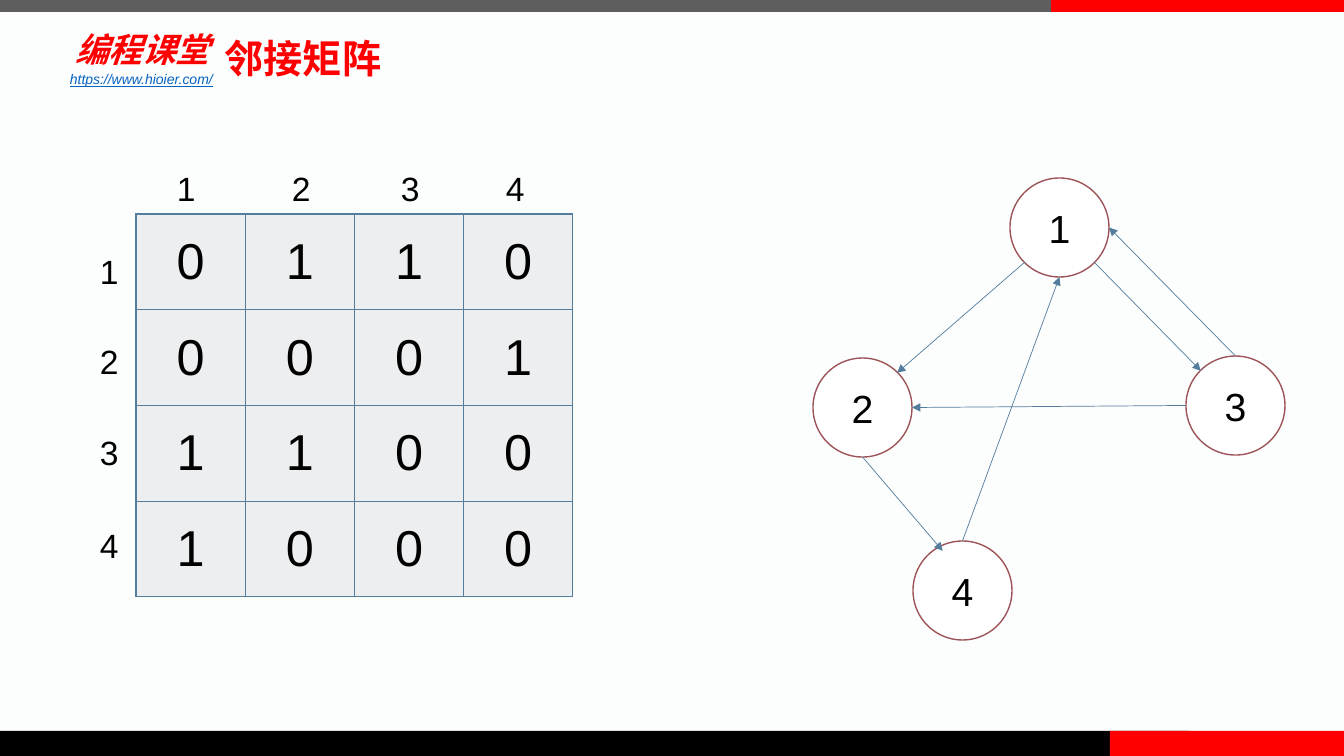
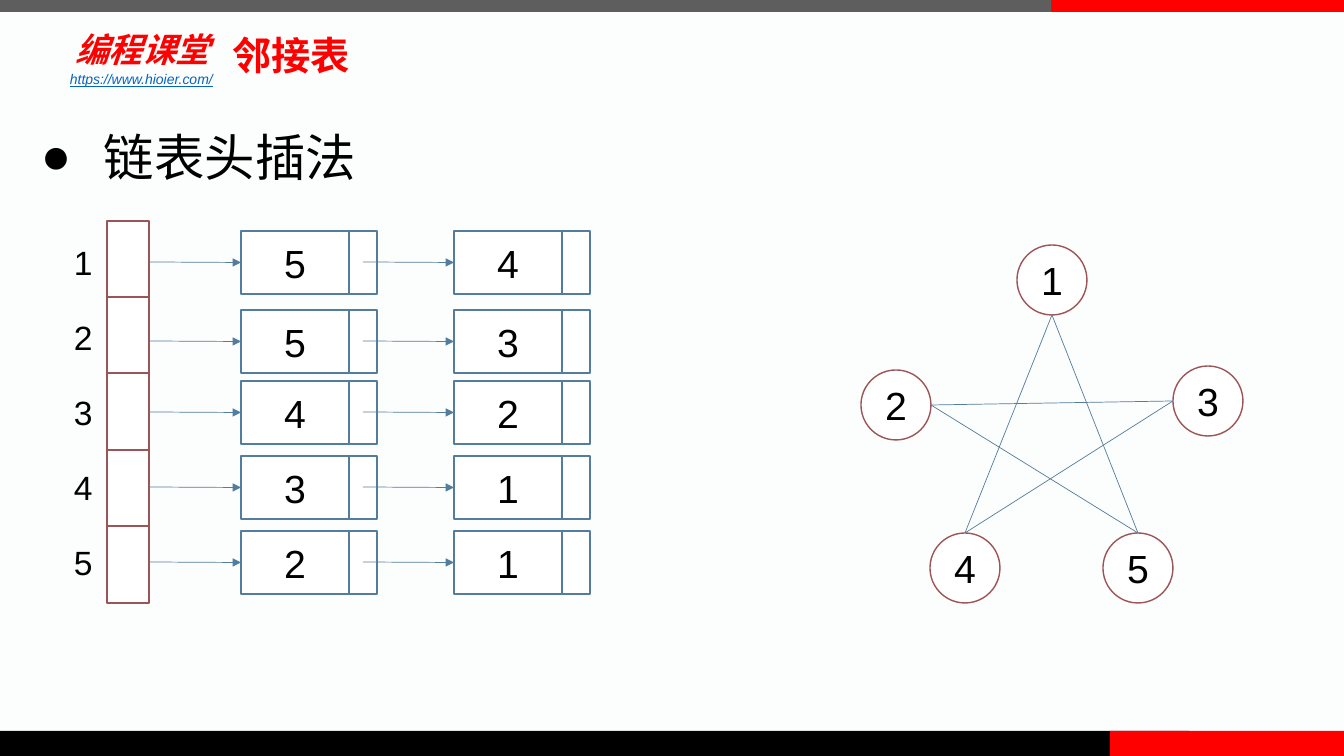
from lxml.etree import SubElement
from pptx import Presentation
from pptx.dml.color import RGBColor
from pptx.enum.shapes import MSO_CONNECTOR, MSO_SHAPE
from pptx.enum.text import MSO_ANCHOR, PP_ALIGN
from pptx.oxml.ns import qn
from pptx.util import Emu, Pt

PX = 12192000 / 1344
FONT = "Arial"
PAPER = RGBColor(0xFC, 0xFD, 0xFD)
GRAY = RGBColor(0x5E, 0x5E, 0x5E)
BLACK = RGBColor(0x00, 0x00, 0x00)
WHITE = RGBColor(0xFF, 0xFF, 0xFF)
RED = RGBColor(0xFF, 0x00, 0x00)
LINK_BLUE = RGBColor(0x05, 0x63, 0xC1)
STEEL = RGBColor(0x54, 0x7D, 0x9D)
MAROON = RGBColor(0x9D, 0x54, 0x58)
CELL_FILL = RGBColor(0xEC, 0xEE, 0xEF)

# Points on a circle, as fractions of its box
ANCHORS = {
    "top": (0.5, 0), "bottom": (0.5, 1), "left": (0, 0.5), "right": (1, 0.5),
    "upper left": (0.15, 0.15), "upper right": (0.85, 0.15),
    "lower left": (0.15, 0.85), "lower right": (0.85, 0.85),
    "near top": (0.3, 0.1),
}


def px(*lengths):
    return [Emu(round(length * PX)) for length in lengths]


def style_text(frame, size, color=BLACK, align=PP_ALIGN.LEFT, **flags):
    for para in frame.paragraphs:
        para.alignment = align
        for span in para.runs:
            span.font.size = Pt(size)
            span.font.color.rgb = color
            span.font.name = FONT
            for flag, value in flags.items():
                setattr(span.font, flag, value)
            SubElement(span.font._element, qn("a:ea"), typeface=FONT)


def add_text(page, box, text, size, color=BLACK, align=PP_ALIGN.LEFT,
             anchor=MSO_ANCHOR.TOP, inset=None, wrap=True, **flags):
    frame = page.shapes.add_textbox(*px(*box)).text_frame
    frame.word_wrap = wrap
    frame.vertical_anchor = anchor
    if inset:
        frame.margin_left, frame.margin_top = px(*inset)
        frame.margin_right, frame.margin_bottom = px(*inset)
    frame.text = text
    style_text(frame, size, color, align, **flags)
    return frame


def add_block(page, kind, box, fill, line=None, text=""):
    block = page.shapes.add_shape(kind, *px(*box))
    block.shadow.inherit = False
    block.fill.solid()
    block.fill.fore_color.rgb = fill
    if line is None:
        block.line.fill.background()
    else:
        block.line.color.rgb = line
        block.line.width = Pt(1)
    if text:
        block.text_frame.text = text
        block.text_frame.vertical_anchor = MSO_ANCHOR.MIDDLE
        style_text(block.text_frame, 28, BLACK, PP_ALIGN.CENTER)
    return block


def add_edge(page, start, end, arrow=True):
    edge = page.shapes.add_connector(MSO_CONNECTOR.STRAIGHT, *px(*start, *end))
    edge.line.color.rgb = STEEL
    edge.line.width = Pt(0.5)
    if arrow:
        SubElement(edge.line._get_or_add_ln(), qn("a:tailEnd"), type="triangle")
    SubElement(edge._element.spPr, qn("a:effectLst"))
    return edge


def add_page(deck, title, title_box):
    """Add a slide with the shared bands, site name and title."""
    page = deck.slides.add_slide(deck.slide_layouts[6])
    for box, color in (((0, 0, 1090, 12), GRAY), ((0, 731, 1189, 25), BLACK),
                       ((1110, 731, 234, 25), RED), ((1051, 0, 293, 12), RED)):
        add_block(page, MSO_SHAPE.RECTANGLE, box, color)
    add_text(page, (69, 23, 186, 53), "编程课堂", 24, RED, anchor=MSO_ANCHOR.MIDDLE,
             inset=(6, 6), bold=True, italic=True)
    add_text(page, (60, 66, 684, 27), "https://www.hioier.com/", 10, LINK_BLUE,
             italic=True, underline=True)
    add_text(page, title_box, title, 28, RED, PP_ALIGN.CENTER, MSO_ANCHOR.BOTTOM,
             inset=(8, 4), bold=True)
    return page


def add_graph(page, left, top, size, vertices, edges, arrow):
    """Draw numbered circles; an edge is (vertex, anchor, vertex, anchor)."""
    def point(vertex, anchor):
        x, y = vertices[vertex]
        across, down = ANCHORS[anchor]
        return left + x + across * size, top + y + down * size

    for number, (x, y) in vertices.items():
        add_block(page, MSO_SHAPE.OVAL, (left + x, top + y, size, size),
                  WHITE, MAROON, str(number))
    for source, leave, target, enter in edges:
        add_edge(page, point(source, leave), point(target, enter), arrow)


def add_cell_borders(cell):
    properties = cell._tc.get_or_add_tcPr()
    for side in ("a:lnL", "a:lnR", "a:lnT", "a:lnB"):
        border = SubElement(properties, qn(side), w=str(Pt(1)))
        fill = SubElement(border, qn("a:solidFill"))
        SubElement(fill, qn("a:srgbClr"), val=str(STEEL))


def add_matrix(page, left, top, width, height, rows):
    """Draw the matrix with vertex numbers above and to the left."""
    table = page.shapes.add_table(
        len(rows), len(rows[0]), *px(left, top, width, height)).table
    table.first_row = table.horz_banding = False
    for row, values in enumerate(rows):
        for column, value in enumerate(values):
            cell = table.cell(row, column)
            add_cell_borders(cell)
            cell.fill.solid()
            cell.fill.fore_color.rgb = CELL_FILL
            cell.vertical_anchor = MSO_ANCHOR.MIDDLE
            cell.text = value
            style_text(cell.text_frame, 36, BLACK, PP_ALIGN.CENTER)
    column_labels = [(x, -51) for x in (31, 146, 255, 360)]
    row_labels = [(-46, y) for y in (32, 122, 213, 306)]
    for labels in (column_labels, row_labels):
        for number, (x, y) in enumerate(labels, 1):
            add_text(page, (left + x, top + y, 39, 50), str(number), 24, wrap=False)


def add_list_node(page, left, top, value):
    """Draw a value cell and its pointer cell; return the value cell."""
    value_cell = add_block(page, MSO_SHAPE.RECTANGLE, (left, top, 108, 63),
                           WHITE, STEEL, value)
    add_block(page, MSO_SHAPE.RECTANGLE, (left + 108, top, 28, 63), WHITE, STEEL)
    return value_cell


def add_adjacency_list(page, left, top, height, chains, chain_tops):
    """Draw the head array and the chain of nodes beside each head."""
    for index, (chain, offset) in enumerate(zip(chains, chain_tops)):
        head_top = top + height * index // len(chains)
        head_bottom = top + height * (index + 1) // len(chains)
        add_block(page, MSO_SHAPE.RECTANGLE,
                  (left, head_top, 42, head_bottom - head_top), WHITE, MAROON)
        add_text(page, (left - 43, top + 16 + 75 * index, 43, 50), str(index + 1), 24)
        middle = top + offset + 31
        link_start = left + 42
        for position, value in enumerate(chain):
            node_left = left + 134 + 213 * position
            value_cell = add_list_node(page, node_left, top + offset, value)
            link = add_edge(page, (link_start, middle), (node_left, middle))
            link.end_connect(value_cell, 1)
            link_start = node_left + 122


def add_bullet(page, box, text):
    frame = add_text(page, box, text, 36, wrap=False)
    para = frame.paragraphs[0]
    properties = para._p.get_or_add_pPr()
    properties.set("marL", "571500")
    properties.set("indent", "-571500")
    SubElement(properties, qn("a:buFont"), typeface=FONT)
    SubElement(properties, qn("a:buChar"), char="●")
    para.line_spacing = 1.4


def build_matrix_page(deck):
    page = add_page(deck, "邻接矩阵", (195, 17, 216, 68))
    add_graph(page, 813, 178, 99,
              {1: (197, 0), 2: (0, 180), 3: (373, 178), 4: (100, 363)},
              [(1, "lower left", 2, "upper right"),
               (1, "lower right", 3, "upper left"),
               (4, "top", 1, "bottom"), (3, "left", 2, "right"),
               (3, "top", 1, "right"), (2, "bottom", 4, "near top")], True)
    add_matrix(page, 136, 214, 437, 383, ["0110", "0001", "1100", "1000"])


def build_list_page(deck):
    page = add_page(deck, "邻接表", (192, 14, 198, 68))
    add_bullet(page, (31, 97, 339, 87), "链表头插法")
    add_graph(page, 861, 245, 70,
              {1: (156, 0), 2: (0, 125), 3: (312, 121), 4: (69, 288), 5: (242, 288)},
              [(5, "top", 2, "right"), (1, "bottom", 5, "top"),
               (3, "left", 4, "top"), (4, "top", 1, "bottom"),
               (3, "left", 2, "right")], False)
    add_adjacency_list(page, 107, 221, 382, ["54", "53", "42", "31", "21"],
                       (10, 89, 160, 235, 310))


def main():
    deck = Presentation()
    deck.slide_width, deck.slide_height = px(1344, 756)
    background = deck.slide_master.background.fill
    background.solid()
    background.fore_color.rgb = PAPER
    build_matrix_page(deck)
    build_list_page(deck)
    deck.save("out.pptx")


if __name__ == "__main__":
    main()
